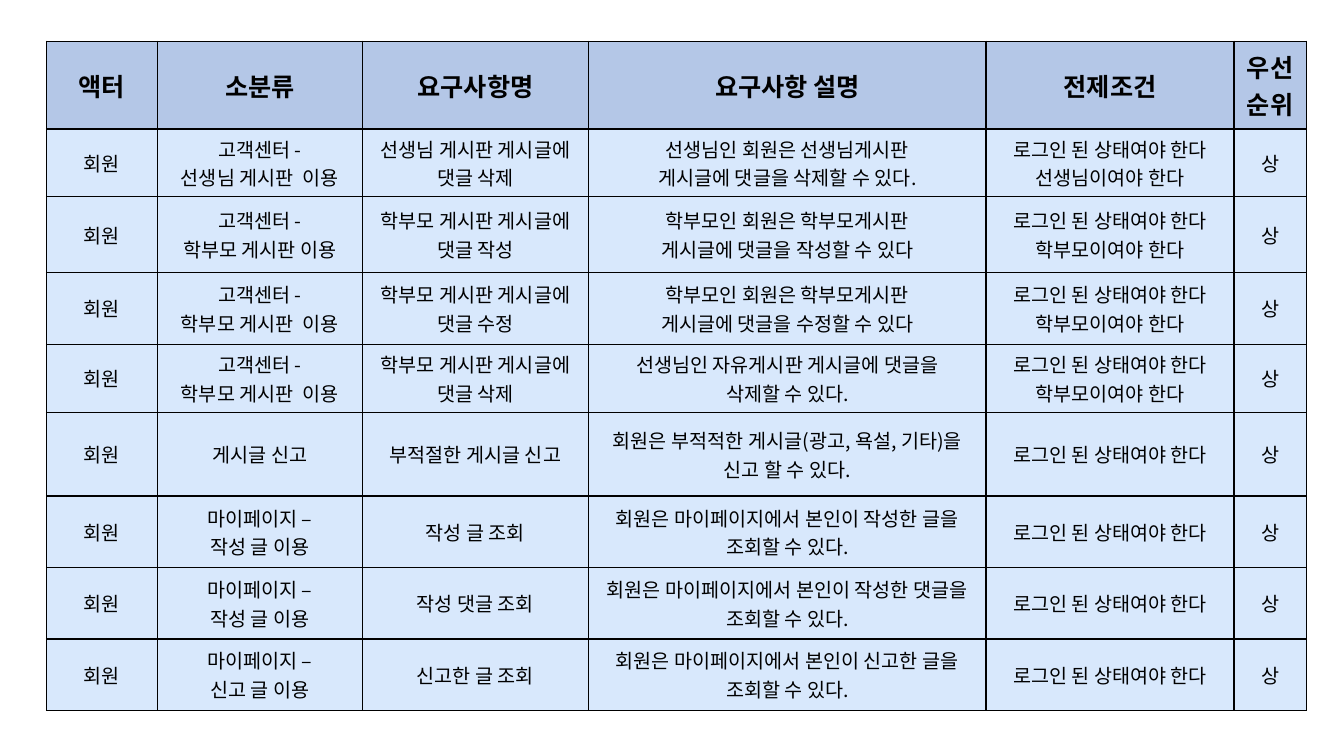
from copy import deepcopy

from lxml.etree import SubElement
from pptx import Presentation
from pptx.dml.color import RGBColor
from pptx.enum.text import MSO_ANCHOR, PP_ALIGN
from pptx.oxml.ns import qn
from pptx.util import Cm, Pt

FACE = "Noto Sans CJK KR"
BLACK = RGBColor(0x00, 0x00, 0x00)
HEAD = RGBColor(0xB4, 0xC7, 0xE7)
BODY = RGBColor(0xD8, 0xE8, 0xFC)

LOGIN = "로그인 된 상태여야 한다"
TEACH = LOGIN + "\v선생님이여야 한다"
PARENT = LOGIN + "\v학부모이여야 한다"
TITLES = ("액터", "소분류", "요구사항명", "요구사항 설명", "전제조건", "우선순위")
ITEMS = [
    ("고객센터 -\n선생님 게시판  이용", "선생님 게시판 게시글에\v댓글 삭제",
     "선생님인 회원은 선생님게시판\v게시글에 댓글을 삭제할 수 있다.", TEACH),
    ("고객센터 -\n학부모 게시판 이용", "학부모 게시판 게시글에\v댓글 작성",
     "학부모인 회원은 학부모게시판\v게시글에 댓글을 작성할 수 있다", PARENT),
    ("고객센터 -\n학부모 게시판  이용", "학부모 게시판 게시글에\v댓글 수정",
     "학부모인 회원은 학부모게시판\v게시글에 댓글을 수정할 수 있다", PARENT),
    ("고객센터 -\n학부모 게시판  이용", "학부모 게시판 게시글에\v댓글 삭제",
     "선생님인 자유게시판 게시글에 댓글을\n삭제할 수 있다.", PARENT),
    ("게시글 신고", "부적절한 게시글 신고",
     "회원은 부적적한 게시글(광고, 욕설, 기타)을 신고 할 수 있다.", LOGIN),
    ("마이페이지 –\n작성 글 이용", "작성 글 조회",
     "회원은 마이페이지에서 본인이 작성한 글을\v조회할 수 있다.", LOGIN),
    ("마이페이지 –\n작성 글 이용", "작성 댓글 조회",
     "회원은 마이페이지에서 본인이 작성한 댓글을\v조회할 수 있다.", LOGIN),
    ("마이페이지 –\n신고 글 이용", "신고한 글 조회",
     "회원은 마이페이지에서 본인이 신고한 글을\v조회할 수 있다.", LOGIN),
]
ROWS = [TITLES] + [("회원", *item, "상") for item in ITEMS]
WIDTHS = (2.8, 5.16, 5.71, 10.01, 6.25, 1.82)
HEIGHTS = (2.21, 1.71, 1.9, 1.82, 1.71, 2.11, 1.8, 1.8, 1.8)
LEFT, TOP = 1.17, 1.04

TITLE = {"fill": HEAD, "font": {"size": Pt(18), "bold": True, "name": FACE}}
PLAIN = {"fill": BODY, "font": {"size": Pt(14), "bold": False, "name": FACE}}


def add_edges(cell):
    props = cell._tc.get_or_add_tcPr()
    for side in ("lnL", "lnR", "lnT", "lnB"):
        line = SubElement(props, qn("a:" + side), w=str(Pt(1)))
        solid = SubElement(line, qn("a:solidFill"))
        SubElement(solid, qn("a:srgbClr"), val=str(BLACK))


def style_text(par, form):
    par.alignment = PP_ALIGN.CENTER
    for run in par.runs:
        for key, value in form.items():
            setattr(run.font, key, value)
        run.font.color.rgb = BLACK
        SubElement(run.font._element, qn("a:ea"), typeface=FACE)
    for gap in par._p.findall(qn("a:br")):
        gap.insert(0, deepcopy(par.runs[0].font._element))


def fill_cell(cell, text, form):
    cell.text = text
    cell.vertical_anchor = MSO_ANCHOR.MIDDLE
    add_edges(cell)
    cell.fill.solid()
    cell.fill.fore_color.rgb = form["fill"]
    for par in cell.text_frame.paragraphs:
        style_text(par, form["font"])


def main():
    deck = Presentation()
    deck.slide_width, deck.slide_height = Cm(33.87), Cm(19.05)
    slide = deck.slides.add_slide(deck.slide_layouts[6])
    table = slide.shapes.add_table(
        len(ROWS), len(WIDTHS), Cm(LEFT), Cm(TOP),
        Cm(sum(WIDTHS)), Cm(sum(HEIGHTS))).table
    table.first_row = table.horz_banding = False
    for col, width in zip(table.columns, WIDTHS):
        col.width = Cm(width)
    for row, height, texts in zip(table.rows, HEIGHTS, ROWS):
        row.height = Cm(height)
        form = TITLE if texts is TITLES else PLAIN
        for cell, text in zip(row.cells, texts):
            fill_cell(cell, text, form)
    deck.save("out.pptx")


if __name__ == "__main__":
    main()
